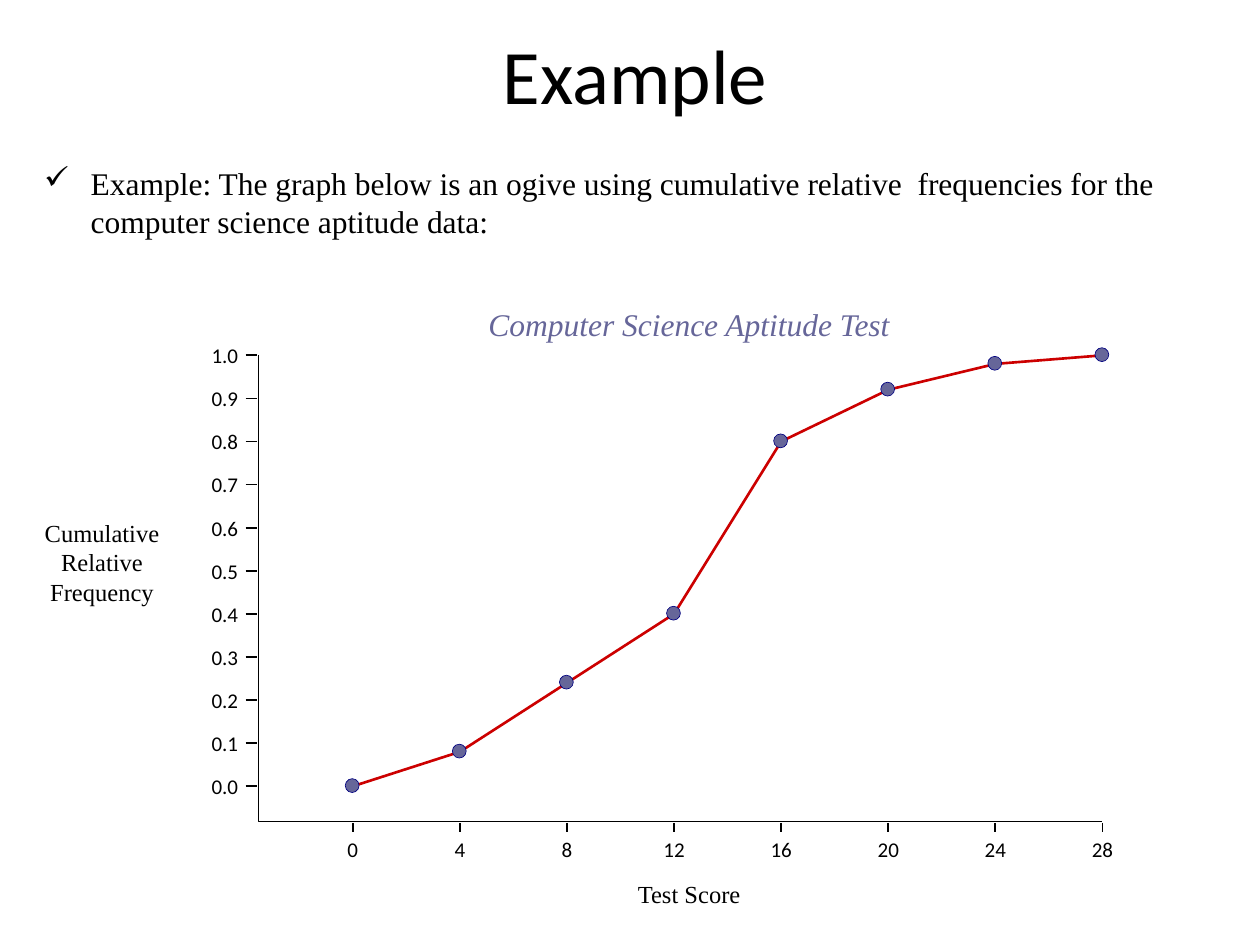
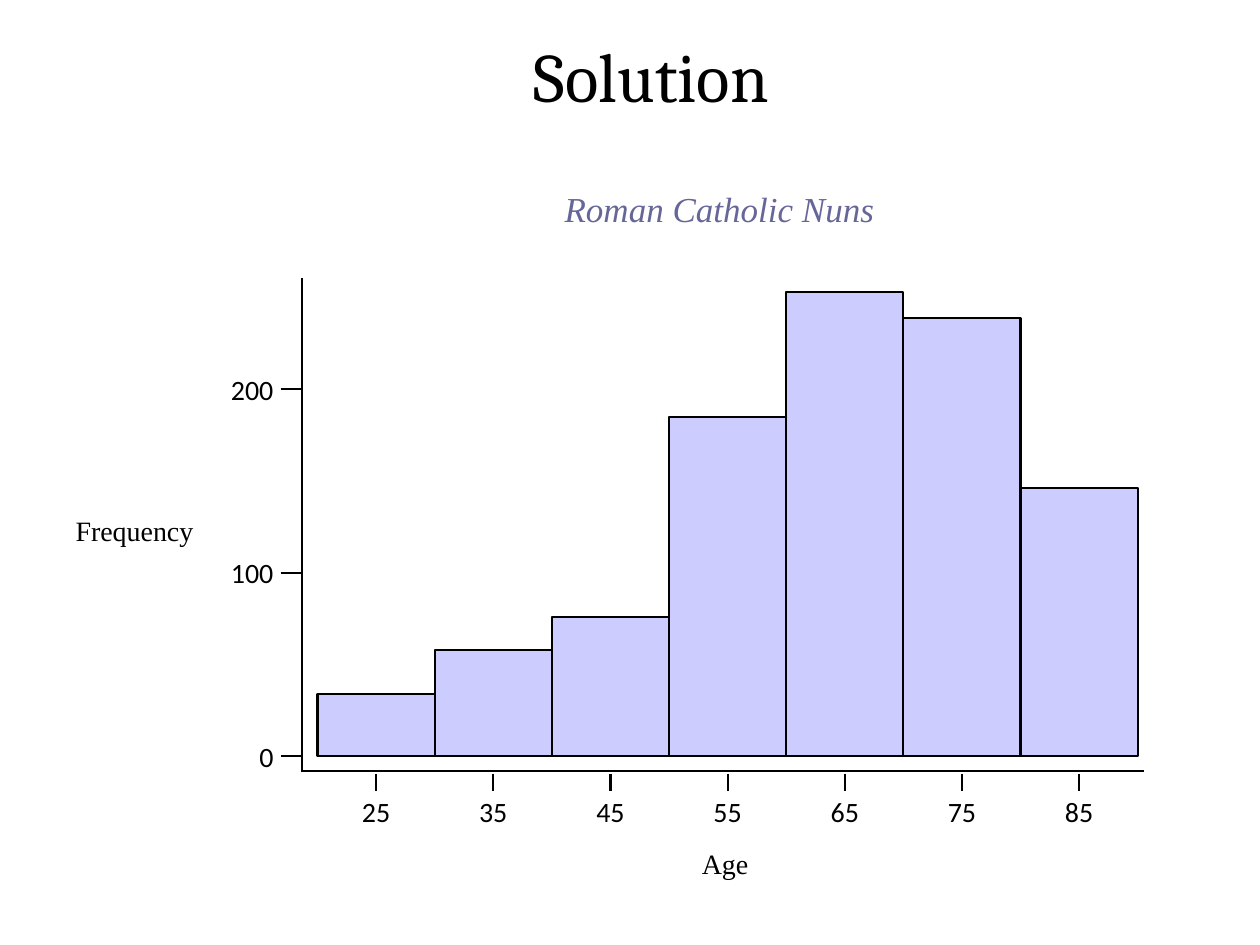
from lxml import etree
from pptx import Presentation
from pptx.dml.color import RGBColor
from pptx.enum.shapes import MSO_CONNECTOR, MSO_SHAPE
from pptx.enum.text import MSO_ANCHOR, PP_ALIGN
from pptx.oxml.ns import qn
from pptx.util import Inches, Pt

BLACK = RGBColor(0x00, 0x00, 0x00)
SLATE = RGBColor(0x66, 0x66, 0x99)
NAVY = RGBColor(0x00, 0x00, 0x80)
RED = RGBColor(0xCC, 0x00, 0x00)
LAVENDER = RGBColor(0xCC, 0xCC, 0xFF)

SANS, SERIF, TITLE_SERIF = "Calibri", "Times New Roman", "Cambria"
LEFT, CENTER, RIGHT = PP_ALIGN.LEFT, PP_ALIGN.CENTER, PP_ALIGN.RIGHT
MIDDLE = MSO_ANCHOR.MIDDLE
RECT, OVAL = MSO_SHAPE.RECTANGLE, MSO_SHAPE.OVAL
STRAIGHT = MSO_CONNECTOR.STRAIGHT
TITLE_ONLY = 5

SCORES = range(0, 29, 4)
CUMULATIVE = [0, 0.08, 0.24, 0.4, 0.8, 0.92, 0.98, 1]
AGES = range(25, 86, 10)
FREQUENCIES = [34, 58, 76, 185, 253, 239, 146]


def style(p, size, font, color=BLACK, align=CENTER, italic=False):
    p.alignment = align
    for r in p.runs:
        r.font.size = Pt(size)
        r.font.name = font
        r.font.color.rgb = color
        r.font.italic = italic


def add_titled_slide(prs, title, box, size, font):
    s = prs.slides.add_slide(prs.slide_layouts[TITLE_ONLY])
    sp = s.shapes.title
    sp.left, sp.top, sp.width, sp.height = map(Inches, box)
    tf = sp.text_frame
    tf.text = title
    tf.vertical_anchor = MIDDLE
    style(tf.paragraphs[0], size, font)
    return s


def add_text(s, text, box, size, font, **options):
    """Add a text box without insets and return its paragraph."""
    tf = s.shapes.add_textbox(*map(Inches, box)).text_frame
    tf.word_wrap = True
    tf.margin_left = tf.margin_right = tf.margin_top = tf.margin_bottom = 0
    tf.text = text
    p = tf.paragraphs[0]
    style(p, size, font, **options)
    return p


def add_check_bullet(p, indent):
    pPr = p._p.get_or_add_pPr()
    pPr.set("marL", str(Inches(indent)))
    pPr.set("indent", str(-Inches(indent)))
    etree.SubElement(pPr, qn("a:buChar")).set("char", "✓")


def add_line(s, x1, y1, x2, y2, width):
    line = s.shapes.add_connector(STRAIGHT, *map(Inches, (x1, y1, x2, y2)))
    line.line.color.rgb = BLACK
    line.line.width = Pt(width)
    etree.SubElement(line._element.spPr, qn("a:effectLst"))


def add_filled(s, kind, box, fill, outline, width):
    sp = s.shapes.add_shape(kind, *map(Inches, box))
    sp.shadow.inherit = False
    sp.fill.solid()
    sp.fill.fore_color.rgb = fill
    sp.line.color.rgb = outline
    sp.line.width = Pt(width)


def add_polyline(s, points, color, width):
    points = [(Inches(x), Inches(y)) for x, y in points]
    builder = s.shapes.build_freeform(*points[0])
    builder.add_line_segments(points[1:], close=False)
    sp = builder.convert_to_shape()
    sp.shadow.inherit = False
    sp.fill.background()
    sp.line.color.rgb = color
    sp.line.width = Pt(width)


def add_x_ticks(s, ticks, top, bottom, label_top, size, width):
    for x, label in ticks:
        add_line(s, x, top, x, bottom, width)
        add_text(s, str(label), (x - 0.2, label_top, 0.4, 0.27), size, SANS)


def add_y_ticks(s, ticks, left, right, label_right, size, width):
    for y, label in ticks:
        add_line(s, left, y, right, y, width)
        box = (label_right - 0.5, y - size / 120, 0.5, size / 60)
        add_text(s, label, box, size, SANS, align=RIGHT)


def add_ogive(s):
    def y_of(share):
        return 6.24 - 3.42 * share

    xs = [2.8 + 0.85 * i for i in range(len(SCORES))]
    points = [(x, y_of(share)) for x, share in zip(xs, CUMULATIVE)]

    add_x_ticks(s, zip(xs, SCORES), 6.53, 6.6, 6.64, 12, 1)
    shares = [i / 10 for i in range(11)]
    add_y_ticks(s, [(y_of(v), f"{v:.1f}") for v in shares],
                1.95, 2.04, 1.89, 12, 1)
    add_polyline(s, points, RED, 1.5)
    for x, y in points:
        add_filled(s, OVAL, (x - 0.06, y - 0.06, 0.11, 0.11), SLATE, NAVY, 0.38)
    add_polyline(s, [(2.05, 2.82), (2.05, 6.52), (8.75, 6.52)], BLACK, 0.75)

    add_text(s, "Cumulative Relative Frequency", (0.09, 4.11, 1.44, 0.7), 14, SERIF)
    add_text(s, "Test Score", (4.75, 6.98, 1.44, 0.23), 14, SERIF)
    add_text(s, "Computer Science Aptitude Test", (2.61, 2.42, 5.72, 0.3),
             18, SERIF, color=SLATE, italic=True)


def add_histogram(s):
    base, left, bar_width, per_nun = 6, 2.52, 0.93, 0.01455
    lefts = [left + bar_width * i for i in range(len(AGES))]

    add_x_ticks(s, [(x + bar_width / 2, age) for x, age in zip(lefts, AGES)],
                6.14, 6.28, 6.31, 16, 1.25)
    add_y_ticks(s, [(base - per_nun * v, str(v)) for v in (0, 100, 200)],
                2.23, 2.4, 2.17, 16, 1.25)
    add_line(s, 2.39, 6.12, 9.08, 6.12, 1.25)
    add_line(s, 2.4, 6.13, 2.4, 2.21, 1.25)
    for x, count in zip(lefts, FREQUENCIES):
        height = per_nun * count
        add_filled(s, RECT, (x, base - height, bar_width, height),
                   LAVENDER, BLACK, 1.25)

    add_text(s, "Frequency", (0.6, 4.08, 1.1, 0.27), 16, SERIF, align=LEFT)
    add_text(s, "Age", (2.42, 6.72, 6.67, 0.27), 16, SERIF)
    add_text(s, "Roman Catholic Nuns", (2.39, 1.49, 6.64, 0.33),
             20, SERIF, color=SLATE, italic=True)


def main():
    prs = Presentation()
    prs.slide_width, prs.slide_height = Inches(10), Inches(7.5)

    s = add_titled_slide(prs, "Example", (0.54, 0.17, 9, 0.83), 44, SANS)
    p = add_text(s, "Example: The graph below is an ogive using cumulative "
                 "relative  frequencies for the computer science aptitude data:",
                 (0.35, 1.3, 9.38, 0.73), 18, SERIF, align=LEFT)
    p.space_before = Pt(3.6)
    add_check_bullet(p, 0.37)
    add_ogive(s)

    s = add_titled_slide(prs, "Solution", (0.67, 0.19, 9, 0.81), 39.6, TITLE_SERIF)
    add_histogram(s)

    prs.save("out.pptx")


if __name__ == "__main__":
    main()
